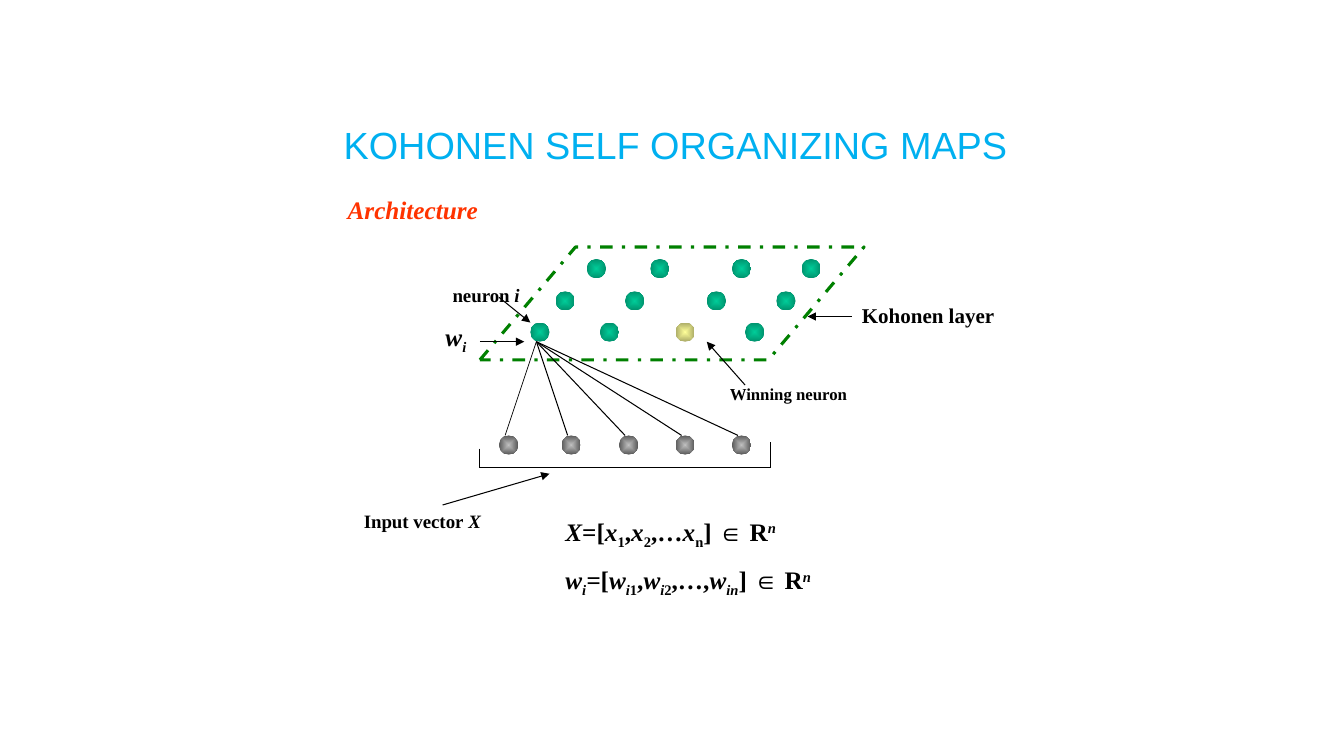
"""Draw the architecture of a Kohonen self organizing map."""
from lxml import etree
from pptx import Presentation
from pptx.dml.color import RGBColor
from pptx.enum.dml import MSO_LINE
from pptx.enum.shapes import MSO_CONNECTOR, MSO_SHAPE
from pptx.enum.text import PP_ALIGN
from pptx.oxml.ns import qn
from pptx.util import Inches, Pt

STRAIGHT = MSO_CONNECTOR.STRAIGHT
OVAL, SLANT = MSO_SHAPE.OVAL, MSO_SHAPE.PARALLELOGRAM
DASHDOT = MSO_LINE.DASH_DOT
LEFT, CENTER, JUSTIFY = PP_ALIGN.LEFT, PP_ALIGN.CENTER, PP_ALIGN.JUSTIFY
SERIF, SANS = "Times New Roman", "Arial"
HEX = {
    "black": "000000", "sky": "00B0F0", "red": "FF3300", "frame": "008000",
    "gray": "C0C0C0", "gray rim": "595959",
    "green": "00CC99", "green rim": "00926D",
    "gold": "FFFF99", "gold rim": "AAAA66",
}
RGB = {name: RGBColor.from_string(code) for name, code in HEX.items()}
SHIFT = {"_": "-25000", "^": "30000"}
DOT = 0.19

deck = Presentation()
deck.slide_width, deck.slide_height = Inches(13.33), Inches(7.5)
slide = deck.slides.add_slide(deck.slide_layouts[6])
shapes = slide.shapes


def add_line(start, end, arrow=False, width=0.75):
    line = shapes.add_connector(STRAIGHT, *map(Inches, start + end))
    line.line.color.rgb = RGB["black"]
    line.line.width = Pt(width)
    if arrow:
        etree.SubElement(line.get_or_add_ln(), qn("a:tailEnd"), type="triangle")
    etree.SubElement(line._element.spPr, qn("a:effectLst"))


def add_text(place, paras, size, color="black", font=SERIF, bold=True, align=LEFT):
    """Add runs of (text, marks): i is italic, _ is below, ^ is above."""
    frame = shapes.add_textbox(*map(Inches, place)).text_frame
    frame.word_wrap = True
    for n, runs in enumerate(paras):
        para = frame.add_paragraph() if n else frame.paragraphs[0]
        para.alignment = align
        if n:
            para.space_before = Pt(10)
        for text, marks in runs:
            run = para.add_run()
            run.text = text
            run.font.name, run.font.size = font, Pt(size)
            run.font.bold, run.font.italic = bold, "i" in marks
            run.font.color.rgb = RGB[color]
            for mark in SHIFT:
                if mark in marks:
                    run._r.get_or_add_rPr().set("baseline", SHIFT[mark])


layer = shapes.add_shape(SLANT, *map(Inches, (4.76, 2.45, 3.81, 1.12)))
layer.adjustments[0] = 0.847
layer.shadow.inherit = False
layer.fill.background()
layer.line.color.rgb = RGB["frame"]
layer.line.width = Pt(2.25)
layer.line.dash_style = DASHDOT

rows = [
    (2.57, "green", (5.82, 6.45, 7.26, 7.95)),
    (2.89, "green", (5.51, 6.2, 7.01, 7.7)),
    (3.2, "green", (5.26, 5.95, 7.39)),
    (3.2, "gold", (6.7,)),
    (4.32, "gray", (4.95, 5.57, 6.14, 6.7, 7.26)),
]
for top, color, lefts in rows:
    for left in lefts:
        dot = shapes.add_shape(OVAL, *map(Inches, (left, top, DOT, DOT)))
        dot.shadow.inherit = False
        dot.line.fill.background()
        dot.fill.gradient()
        for stop, tone in zip(dot.fill.gradient_stops, (color, color + " rim")):
            stop.color.rgb = RGB[tone]
        grad = dot._element.spPr.find(qn("a:gradFill"))
        grad.remove(grad.find(qn("a:lin")))
        shade = etree.SubElement(grad, qn("a:path"), path="shape")
        etree.SubElement(shade, qn("a:fillToRect"),
                         dict.fromkeys("ltrb", "50000"))

for n, left in enumerate(rows[-1][2]):
    add_line((left + 0.06, 4.32), (5.32, 3.39), width=0.75 if n else 0.5)

bracket = [(4.76, 4.45), (4.76, 4.64), (7.64, 4.64), (7.64, 4.39)]
for start, end in zip(bracket, bracket[1:]):
    add_line(start, end)

arrows = [
    ((7.39, 3.82), (7.01, 3.39)),
    ((4.76, 3.39), (5.2, 3.39)),
    ((4.95, 2.95), (5.26, 3.2)),
    ((4.39, 5.01), (5.45, 4.7)),
    ((8.45, 3.14), (8.01, 3.14)),
]
for start, end in arrows:
    add_line(start, end, arrow=True)

add_text((2.24, 1.16, 8.92, 0.56), [[("KOHONEN SELF ORGANIZING MAPS", "")]],
         27, "sky", SANS, False, CENTER)
add_text((3.35, 1.88, 6.75, 0.4), [[("Architecture", "i")]], 18, "red", align=JUSTIFY)

labels = [
    ((7.14, 3.76, 1.94, 0.3), 12, [("Winning neuron", "")]),
    ((4.32, 3.14, 0.81, 0.4), 18, [("w", "i"), ("i", "i_")]),
    ((4.39, 2.76, 0.94, 0.33), 13.5, [("neuron ", ""), ("i", "i")]),
    ((3.51, 5.01, 1.94, 0.33), 13.5, [("Input vector", ""), (" X", "i")]),
    ((8.45, 2.95, 1.56, 0.35), 15, [("Kohonen layer", "")]),
]
for place, size, runs in labels:
    add_text(place, [runs], size)

space = [("] ∈ R", ""), ("n", "i^")]
input_set = [("X", "i"), ("=[", ""), ("x", "i"), ("1", "_"), (",", ""),
             ("x", "i"), ("2", "_"), (",…", ""), ("x", "i"), ("n", "_")]
weights = [("w", "i"), ("i", "i_"), ("=", "i"), ("[", ""),
           ("w", "i"), ("i", "i_"), ("1", "_"), (",", ""),
           ("w", "i"), ("i", "i_"), ("2", "_"), (",…,", ""),
           ("w", "i"), ("in", "i_")]
add_text((5.51, 5.07, 3, 0.86), [input_set + space, weights + space], 18)

deck.save("out.pptx")
